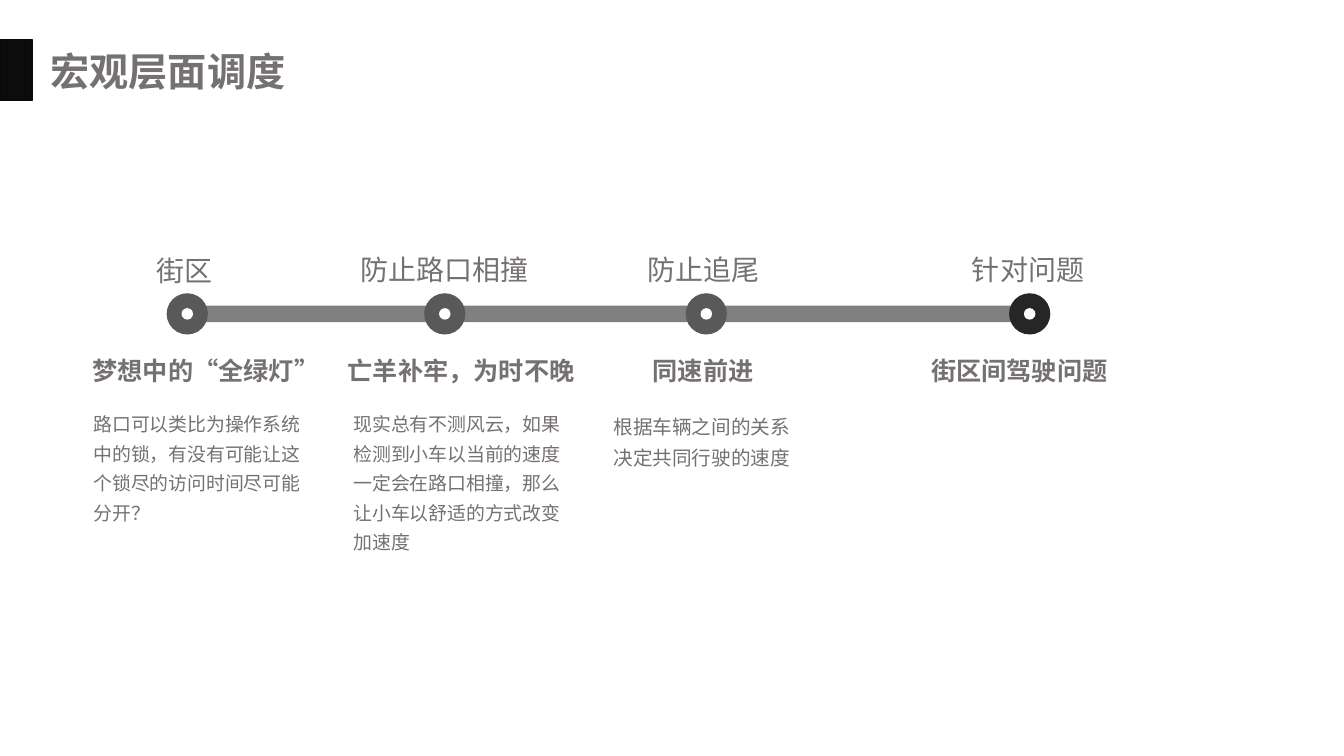
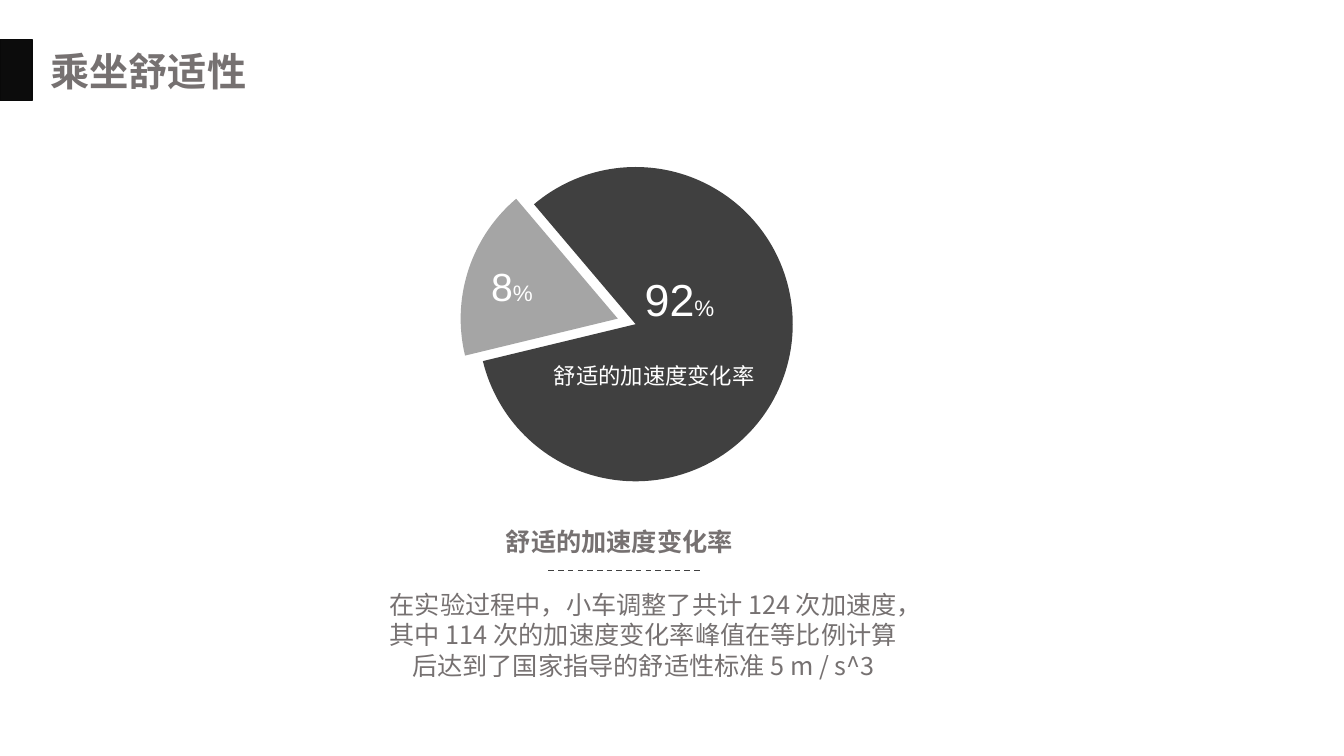
from lxml import etree
from pptx import Presentation
from pptx import util as u
from pptx.dml.color import RGBColor
from pptx.enum import dml, shapes, text
from pptx.oxml.ns import qn

COLORS = {
    "band": "0C0C0C",
    "band_edge": "090909",
    "text": "767171",
    "bar": "808080",
    "node": "595959",
    "last_node": "262626",
    "white": "FFFFFF",
    "light_slice": "A5A5A5",
    "dark": "404040",
}
CJK = "Noto Sans CJK SC"
CM_PER_POINT = 0.0353
SIDE_MARGINS = 0.51


def put_shape(page, kind, left, top, width, height, color):
    shape = page.shapes.add_shape(kind, u.Cm(left), u.Cm(top), u.Cm(width), u.Cm(height))
    shape.shadow.inherit = False
    shape.fill.solid()
    shape.fill.fore_color.rgb = RGBColor.from_string(COLORS[color])
    shape.line.fill.background()
    return shape


def put_text(box, words, size, font, color="text", bold=False, wrap=False, align="CENTER", spacing=1.0):
    frame = box.text_frame
    frame.text = words
    frame.word_wrap = wrap
    frame.auto_size = text.MSO_AUTO_SIZE.NONE
    frame.vertical_anchor = text.MSO_ANCHOR.TOP
    para = frame.paragraphs[0]
    para.alignment = text.PP_ALIGN[align]
    para.line_spacing = spacing
    span = para.runs[0]
    span.font.size = u.Pt(size)
    span.font.bold = bold
    span.font.color.rgb = RGBColor.from_string(COLORS[color])
    span.font.name = font
    etree.SubElement(span.font._element, qn("a:ea")).set("typeface", CJK)
    return para


deck = Presentation()
deck.slide_width, deck.slide_height = u.Cm(33.87), u.Cm(19.05)

pages = []
for heading in ["宏观层面调度", "乘坐舒适性"]:
    page = deck.slides.add_slide(deck.slide_layouts[5])
    band = put_shape(page, shapes.MSO_SHAPE.RECTANGLE, 0, 0.99, 0.81, 1.55, "band")
    band.line.color.rgb = RGBColor.from_string(COLORS["band_edge"])
    band.line.width = u.Pt(1)
    title = page.shapes.title
    title.left, title.top = u.Cm(1.02), u.Cm(1.07)
    title.width = u.Cm(len(heading) * 28 * CM_PER_POINT + SIDE_MARGINS)
    title.height = u.Cm(1.45)
    put_text(title, heading, 28, CJK, bold=True, align="LEFT")
    pages.append(page)
timeline, comfort = pages

put_shape(timeline, shapes.MSO_SHAPE.RECTANGLE, 4.47, 7.7, 21.46, 0.42, "bar")

nodes = [(4.72, "node"), (11.21, "node"), (17.8, "node"), (25.95, "last_node")]
for center, color in nodes:
    for diameter, fill in [(1.04, color), (0.29, "white")]:
        put_shape(timeline, shapes.MSO_SHAPE.OVAL, center - diameter / 2, 7.91 - diameter / 2,
                  diameter, diameter, fill)

single_lines = [
    (4.65, 6.27, "街区", 20),
    (11.2, 6.25, "防止路口相撞", 20),
    (17.73, 6.25, "防止追尾", 20),
    (25.91, 6.25, "针对问题", 20),
    (5.19, 8.84, "梦想中的“全绿灯”", 18),
    (11.62, 8.84, "亡羊补牢，为时不晚", 18),
    (17.72, 8.84, "同速前进", 18),
    (25.69, 8.84, "街区间驾驶问题", 18),
]
for center, top, words, size in single_lines:
    width = len(words) * size * CM_PER_POINT + SIDE_MARGINS
    box = timeline.shapes.add_textbox(u.Cm(center - width / 2), u.Cm(top), u.Cm(width), u.Cm(1.1))
    is_heading = size == 18
    put_text(box, words, size, "Arial" if is_heading else "Calibri", bold=is_heading)

bodies = [
    (2.11, 10.11, 5.94, 3.2, 13.5, "路口可以类比为操作系统中的锁，有没有可能让这个锁尽的访问时间尽可能分开？"),
    (8.66, 10.11, 5.87, 3.94, 13.5, "现实总有不测风云，如果检测到小车以当前的速度一定会在路口相撞，那么让小车以舒适的方式改变加速度"),
    (15.21, 10.16, 5.05, 1.75, 14, "根据车辆之间的关系决定共同行驶的速度"),
]
for left, top, width, height, size, words in bodies:
    box = timeline.shapes.add_textbox(u.Cm(left), u.Cm(top), u.Cm(width), u.Cm(height))
    put_text(box, words, size, "Calibri", wrap=True, align="LEFT", spacing=1.3)

radius = 3.96
slices = [
    (15.57, 8.03, 166.4, 229.7, "light_slice"),
    (16.02, 8.17, 229.7, 166.4, "dark"),
]
for center_x, center_y, start, end, color in slices:
    pie = put_shape(comfort, shapes.MSO_SHAPE.PIE, center_x - radius, center_y - radius,
                    2 * radius, 2 * radius, color)
    pie.adjustments[0] = start * 0.6
    pie.adjustments[1] = end * 0.6

for left, top, width, number, size in [(12.12, 6.48, 1.57, "8", 28), (15.98, 6.73, 2.29, "92", 32)]:
    box = comfort.shapes.add_textbox(u.Cm(left), u.Cm(top), u.Cm(width), u.Cm(1.6))
    para = put_text(box, number, size, "Arial", "white")
    sign = para.add_run()
    sign.text = "%"
    sign.font.size = u.Pt(16)
    sign.font.name = "Arial"
    sign.font.color.rgb = RGBColor.from_string(COLORS["white"])

captions = [
    (13.67, 8.99, 5.64, 0.94, "舒适的加速度变化率", 16, "Arial", "white", False, False),
    (12.47, 13.13, 6.27, 1.02, "舒适的加速度变化率", 18, CJK, "text", True, False),
    (9.35, 14.73, 13.72, 2.57,
     "在实验过程中，小车调整了共计 124 次加速度，其中 114 次的加速度变化率峰值在等比例计算后达到了国家指导的舒适性标准 5 m / s^3",
     18, CJK, "text", False, True),
]
for left, top, width, height, words, size, font, color, bold, wrap in captions:
    box = comfort.shapes.add_textbox(u.Cm(left), u.Cm(top), u.Cm(width), u.Cm(height))
    put_text(box, words, size, font, color, bold, wrap)

rule = comfort.shapes.add_connector(shapes.MSO_CONNECTOR.STRAIGHT,
                                    u.Cm(13.82), u.Cm(14.38), u.Cm(17.63), u.Cm(14.38))
rule.line.color.rgb = RGBColor.from_string(COLORS["dark"])
rule.line.width = u.Pt(1)
rule.line.dash_style = dml.MSO_LINE.DASH
etree.SubElement(rule._element.spPr, qn("a:effectLst"))

deck.save("out.pptx")
